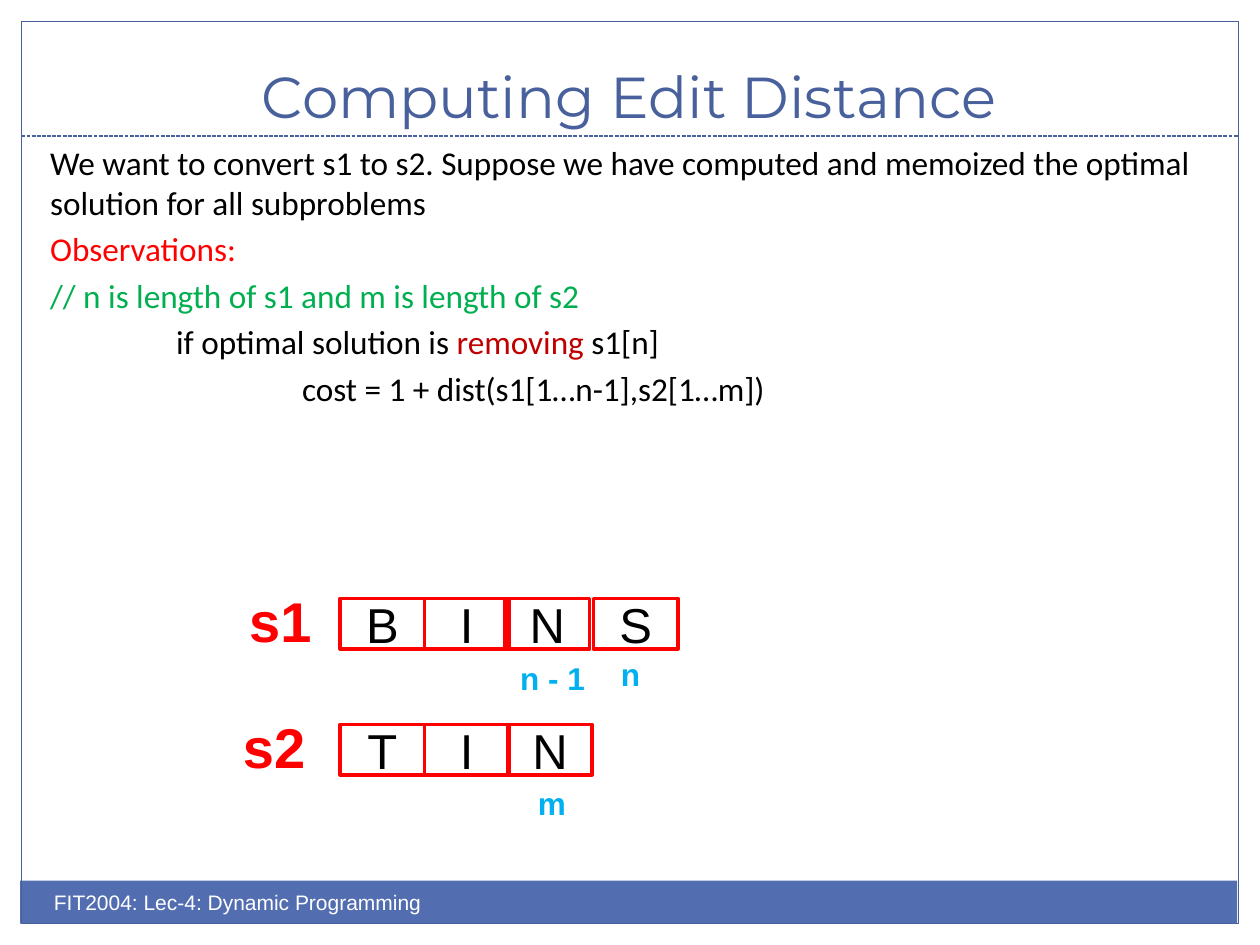
"""Build the edit distance slide with its two letter strings."""
from dataclasses import dataclass

from lxml.etree import SubElement
from pptx import Presentation
from pptx.dml.color import RGBColor
from pptx.enum.dml import MSO_LINE
from pptx.enum.shapes import MSO_CONNECTOR, MSO_SHAPE
from pptx.enum.text import MSO_ANCHOR, MSO_AUTO_SIZE, PP_ALIGN
from pptx.oxml.ns import qn
from pptx.util import Inches, Pt

BLACK, WHITE, RED, GREEN = "000000", "FFFFFF", "FF0000", "00B050"
DARK_RED, SKY, NAVY, BAR = "C00000", "00B0F0", "48609B", "526DB0"
CELL_W, CELL_H = 0.67, 0.4


@dataclass
class Label:
    text: str
    left: float
    top: float
    width: float
    height: float
    size: float
    color: str


@dataclass
class Line:
    runs: list[tuple[str, str]]
    indent: float = 0


@dataclass
class Word:
    letters: str
    lefts: list[float]
    top: float


LINES = [
    Line([("We want to convert s1 to s2. Suppose we have computed and memoized "
           "the optimal solution for all subproblems", BLACK)]),
    Line([("Observations:", RED)]),
    Line([("// n is length of s1 and m is length of s2", GREEN)]),
    Line([("if optimal solution is ", BLACK), ("removing", DARK_RED), (" s1[n]", BLACK)], 1),
    Line([("cost = 1 + dist(s1[1…n-1],s2[1…m])", BLACK)], 2),
]
WORDS = [
    Word("BINS", [2.7, 3.37, 4.01, 4.71], 4.75),
    Word("TIN", [2.7, 3.37, 4.03], 5.75),
]
LABELS = [
    Label("s1", 1.88, 4.61, 0.7, 0.64, 32, RED),
    Label("s2", 1.83, 5.61, 0.7, 0.64, 32, RED),
    Label("n - 1", 4.03, 5.18, 0.72, 0.4, 18, SKY),
    Label("n", 4.83, 5.15, 0.36, 0.4, 18, SKY),
    Label("m", 4.17, 6.17, 0.43, 0.4, 18, SKY),
]


def rgb(value: str) -> RGBColor:
    return RGBColor.from_string(value)


def box(left: float, top: float, width: float, height: float) -> tuple:
    return Inches(left), Inches(top), Inches(width), Inches(height)


def style(r, size: float, color: str, name: str = "Arial", bold: bool = False) -> None:
    r.font.size, r.font.name, r.font.bold = Pt(size), name, bold
    r.font.color.rgb = rgb(color)


def add_rect(s, bounds: tuple, fill: str = "", line: str = "", weight: float = 0):
    sp = s.shapes.add_shape(MSO_SHAPE.RECTANGLE, *bounds)
    sp.shadow.inherit = False
    if fill:
        sp.fill.solid()
        sp.fill.fore_color.rgb = rgb(fill)
    else:
        sp.fill.background()
    if line:
        sp.line.color.rgb = rgb(line)
        sp.line.width = Pt(weight)
    else:
        sp.line.fill.background()
    return sp


def add_frame(s) -> None:
    add_rect(s, box(0.16, 6.99, 9.66, 0.34), fill=BAR)
    add_rect(s, box(0.17, 0.17, 9.66, 7.16), line=NAVY, weight=0.75)
    rule = s.shapes.add_connector(MSO_CONNECTOR.STRAIGHT, Inches(0.17), Inches(1.08),
                                  Inches(9.83), Inches(1.08))
    rule.line.color.rgb = rgb(NAVY)
    rule.line.width = Pt(0.75)
    rule.line.dash_style = MSO_LINE.SQUARE_DOT
    SubElement(rule._element.spPr, qn("a:effectLst"))


def set_title(s, text: str) -> None:
    sp = s.shapes.title
    sp.left, sp.top, sp.width, sp.height = box(0.33, 0.25, 9.33, 0.83)
    tf = sp.text_frame
    tf.text = text
    tf.auto_size = MSO_AUTO_SIZE.NONE
    tf.vertical_anchor = MSO_ANCHOR.BOTTOM
    p = tf.paragraphs[0]
    p.alignment = PP_ALIGN.CENTER
    style(p.runs[0], 33, NAVY, "Montserrat")


def add_body(s, lines: list[Line]) -> None:
    tf = s.shapes.add_textbox(*box(0.3, 1.08, 9.34, 3.53)).text_frame
    tf.word_wrap = True
    for i, line in enumerate(lines):
        p = tf.add_paragraph() if i else tf.paragraphs[0]
        p.space_before = Pt(3.8)
        p._p.get_or_add_pPr().set("marL", str(Inches(line.indent)))
        for text, color in line.runs:
            r = p.add_run()
            r.text = text
            style(r, 19, color, "Calibri")


def add_word(s, word: Word) -> None:
    for letter, left in zip(word.letters, word.lefts):
        sp = add_rect(s, box(left, word.top, CELL_W, CELL_H), line=RED, weight=2)
        tf = sp.text_frame
        tf.text = letter
        tf.vertical_anchor = MSO_ANCHOR.MIDDLE
        p = tf.paragraphs[0]
        p.alignment = PP_ALIGN.CENTER
        style(p.runs[0], 28, BLACK)


def add_label(s, label: Label, bold: bool = True, wrap: bool = False) -> None:
    bounds = box(label.left, label.top, label.width, label.height)
    tf = s.shapes.add_textbox(*bounds).text_frame
    tf.text = label.text
    tf.word_wrap = wrap
    style(tf.paragraphs[0].runs[0], label.size, label.color, bold=bold)


def main() -> None:
    prs = Presentation()
    prs.slide_width, prs.slide_height = Inches(10), Inches(7.5)
    s = prs.slides.add_slide(prs.slide_layouts[5])
    add_frame(s)
    set_title(s, "Computing Edit Distance")
    add_body(s, LINES)
    for word in WORDS:
        add_word(s, word)
    for label in LABELS:
        add_label(s, label)
    footer = Label("FIT2004: Lec-4: Dynamic Programming", 0.33, 7.01, 5, 0.4, 12, WHITE)
    add_label(s, footer, bold=False, wrap=True)
    prs.save("out.pptx")


if __name__ == "__main__":
    main()
